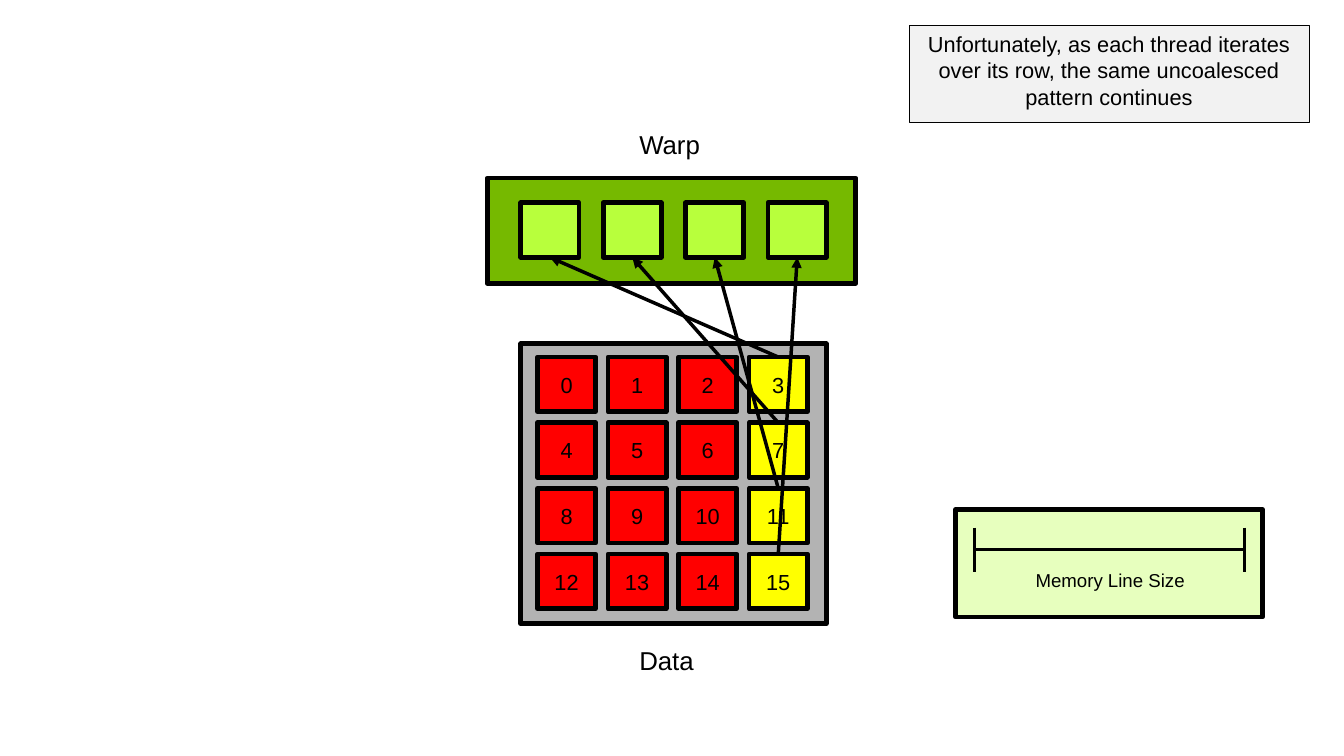
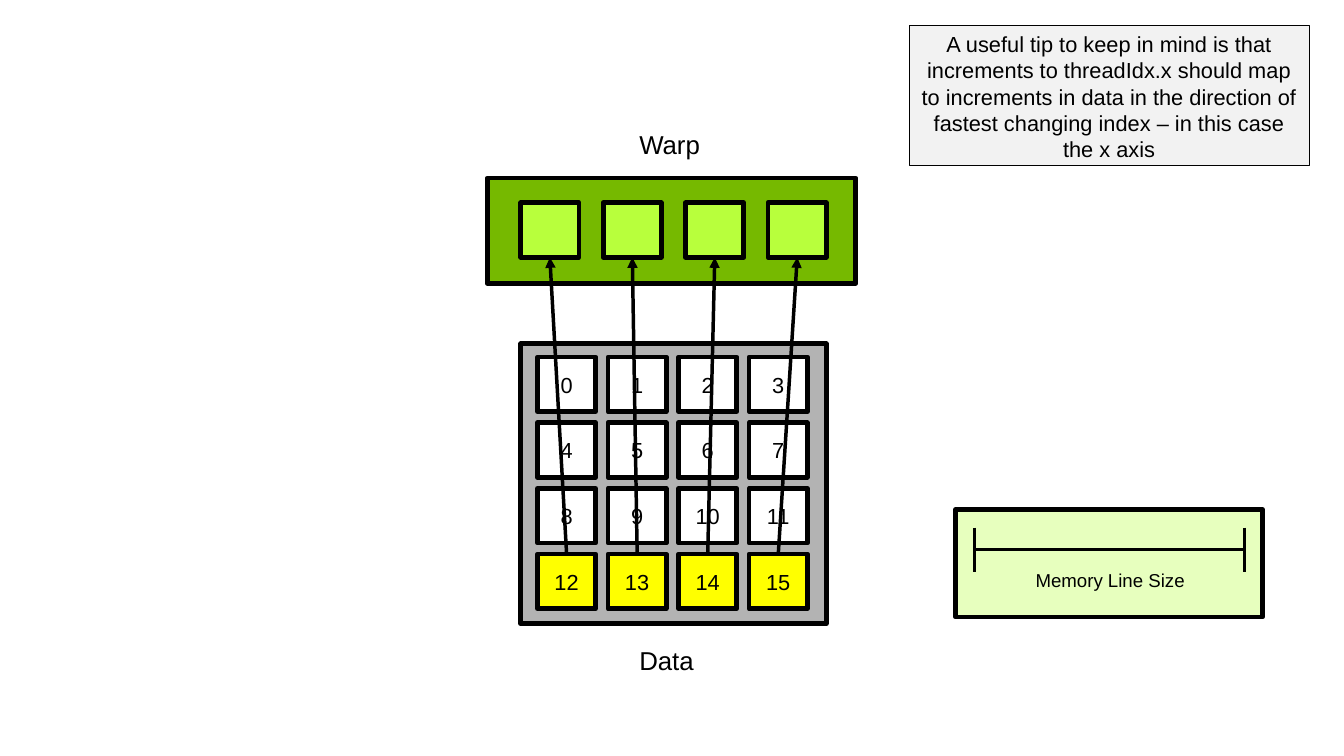
from lxml import etree
from pptx import Presentation
from pptx.dml.color import RGBColor
from pptx.enum.shapes import MSO_CONNECTOR, MSO_SHAPE
from pptx.enum.text import MSO_ANCHOR, MSO_AUTO_SIZE, PP_ALIGN
from pptx.oxml.ns import qn
from pptx.util import Cm, Pt

RECT = MSO_SHAPE.RECTANGLE
STRAIGHT = MSO_CONNECTOR.STRAIGHT
TOP, MIDDLE = MSO_ANCHOR.TOP, MSO_ANCHOR.MIDDLE
LEFT, CENTER = PP_ALIGN.LEFT, PP_ALIGN.CENTER
GROW = MSO_AUTO_SIZE.SHAPE_TO_FIT_TEXT

BLACK = RGBColor(0x00, 0x00, 0x00)
WHITE = RGBColor(0xFF, 0xFF, 0xFF)
RED = RGBColor(0xFF, 0x00, 0x00)
YELLOW = RGBColor(0xFF, 0xFF, 0x00)
GRAY = RGBColor(0xB3, 0xB3, 0xB3)
PALE = RGBColor(0xF2, 0xF2, 0xF2)
GREEN = RGBColor(0x76, 0xB9, 0x00)
LIME = RGBColor(0xB8, 0xFF, 0x3C)
MINT = RGBColor(0xE7, 0xFF, 0xBE)

FONT = "Arial"
SIDE = 4

SLIDES = [
    {
        "note": "Unfortunately, as each thread iterates over its row, "
                "the same uncoalesced pattern continues",
        "height": 2.21,
        "rest": RED,
        "active": [3, 7, 11, 15],
    },
    {
        "note": "A useful tip to keep in mind is that increments to threadIdx.x "
                "should map to increments in data in the direction of fastest "
                "changing index – in this case the x axis",
        "height": 3.18,
        "rest": WHITE,
        "active": [12, 13, 14, 15],
    },
]

CELL = (1.32, 1.24)
DATA = (11.81, 7.8, 6.93, 6.35)
GRID = (12.19, 8.1)
STEP = (1.6, 1.49)
WARP = (11.05, 4.04, 8.36, 2.39)
THREAD = (11.81, 4.6)
GAP = 1.87
LEGEND = (21.67, 11.56, 6.96, 2.44)
RULER = (22.1, 28.22, 12.47)
TICK = 0.5
TITLES = [("Data", 14.5), ("Warp", 2.79)]


def write(shape, text, size, align=CENTER, anchor=TOP, wrap=True):
    frame = shape.text_frame
    frame.word_wrap = wrap
    frame.vertical_anchor = anchor
    frame.text = text
    para = frame.paragraphs[0]
    para.alignment = align
    font = para.runs[0].font
    font.name, font.size = FONT, Pt(size)
    font.color.rgb = BLACK


def add_box(shapes, area, fill, weight=3):
    box = shapes.add_shape(RECT, *map(Cm, area))
    box.shadow.inherit = False
    box.fill.solid()
    box.fill.fore_color.rgb = fill
    box.line.color.rgb = BLACK
    box.line.width = Pt(weight)
    return box


def add_text(shapes, area, text, size, align):
    box = shapes.add_textbox(*map(Cm, area))
    write(box, text, size, align)
    box.text_frame.auto_size = GROW


def add_line(shapes, *ends):
    line = shapes.add_connector(STRAIGHT, *map(Cm, ends))
    line.line.color.rgb = BLACK
    line.line.width = Pt(2.25)
    etree.SubElement(line._element.spPr, qn("a:effectLst"))
    return line


def add_data(slide, rest, active):
    shapes = slide.shapes.add_group_shape().shapes
    add_box(shapes, DATA, GRAY)
    cells = []
    for index in range(SIDE * SIDE):
        row, col = divmod(index, SIDE)
        spot = (GRID[0] + col * STEP[0], GRID[1] + row * STEP[1])
        cell = add_box(shapes, spot + CELL, YELLOW if index in active else rest)
        write(cell, str(index), 14, anchor=MIDDLE, wrap=False)
        cells.append(cell)
    return cells


def add_warp(slide):
    shapes = slide.shapes.add_group_shape().shapes
    add_box(shapes, WARP, GREEN)
    left, top = THREAD
    return [add_box(shapes, (left + i * GAP, top) + CELL, LIME) for i in range(SIDE)]


def add_arrow(slide, thread, cell):
    arrow = add_line(slide.shapes, 0, 0, 1, 1)
    arrow.begin_connect(thread, 2)
    arrow.end_connect(cell, 0)
    etree.SubElement(arrow.line._get_or_add_ln(), qn("a:headEnd"), type="triangle")


def add_legend(slide):
    shapes = slide.shapes.add_group_shape().shapes
    add_box(shapes, LEGEND, MINT)
    start, end, mid = RULER
    add_line(shapes, start, mid, end, mid)
    for x in (end, start):
        add_line(shapes, x, mid - TICK, x, mid + TICK)
    add_text(shapes, (22.68, 12.78, 5, 0.76), "Memory Line Size", 12, CENTER)


def add_slide(deck, item):
    slide = deck.slides.add_slide(deck.slide_layouts[6])
    note = add_box(slide.shapes, (20.62, 0.58, 9.07, item["height"]), PALE, 0.75)
    write(note, item["note"], 14)
    cells = add_data(slide, item["rest"], item["active"])
    for text, top in TITLES:
        add_text(slide.shapes, (14.25, top, 2.01, 0.97), text, 16.6, LEFT)
    threads = add_warp(slide)
    for thread, index in zip(threads, item["active"]):
        add_arrow(slide, thread, cells[index])
    add_legend(slide)


def main():
    deck = Presentation()
    deck.slide_width, deck.slide_height = Cm(30.48), Cm(17.15)
    for item in SLIDES:
        add_slide(deck, item)
    deck.save("out.pptx")


if __name__ == "__main__":
    main()
